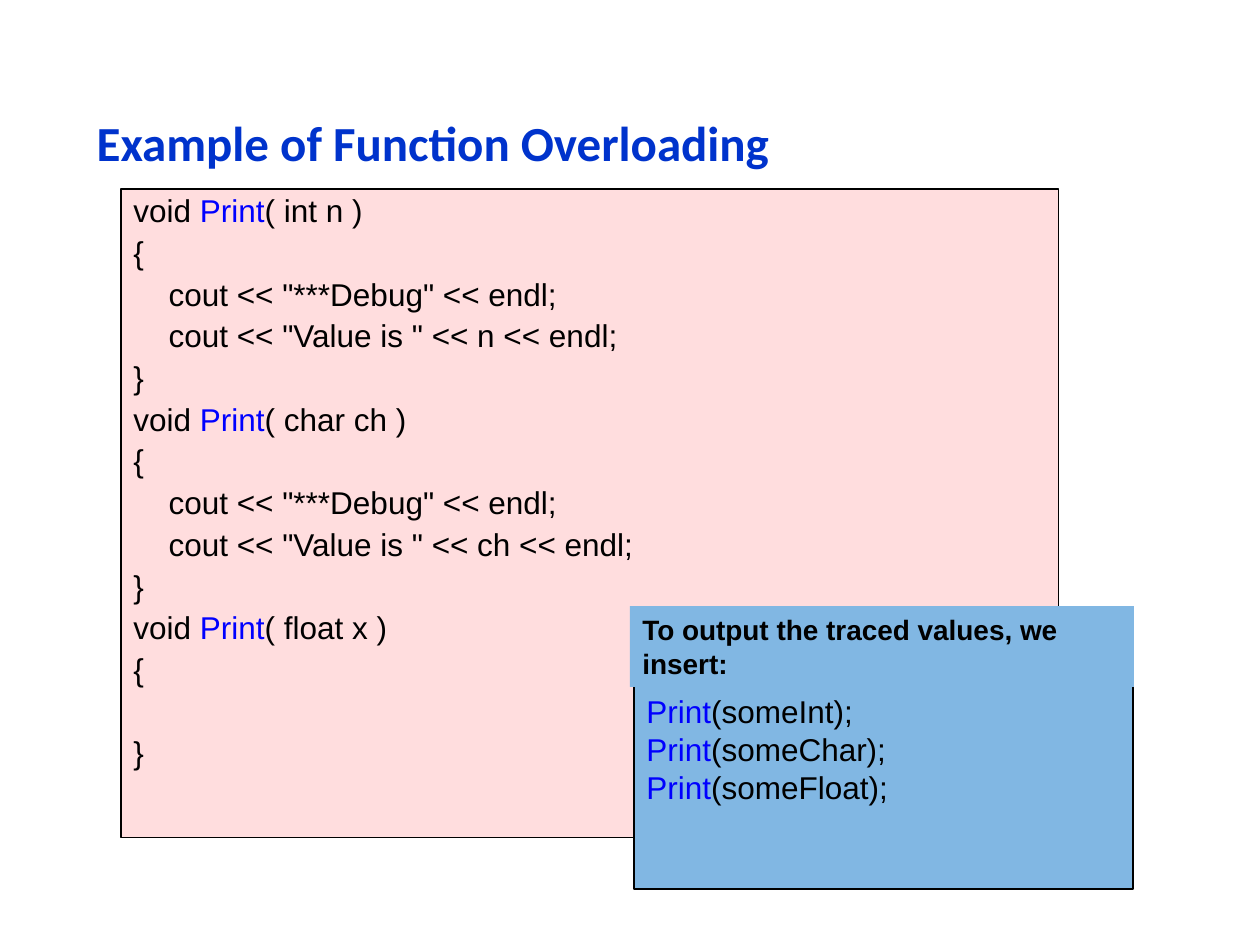
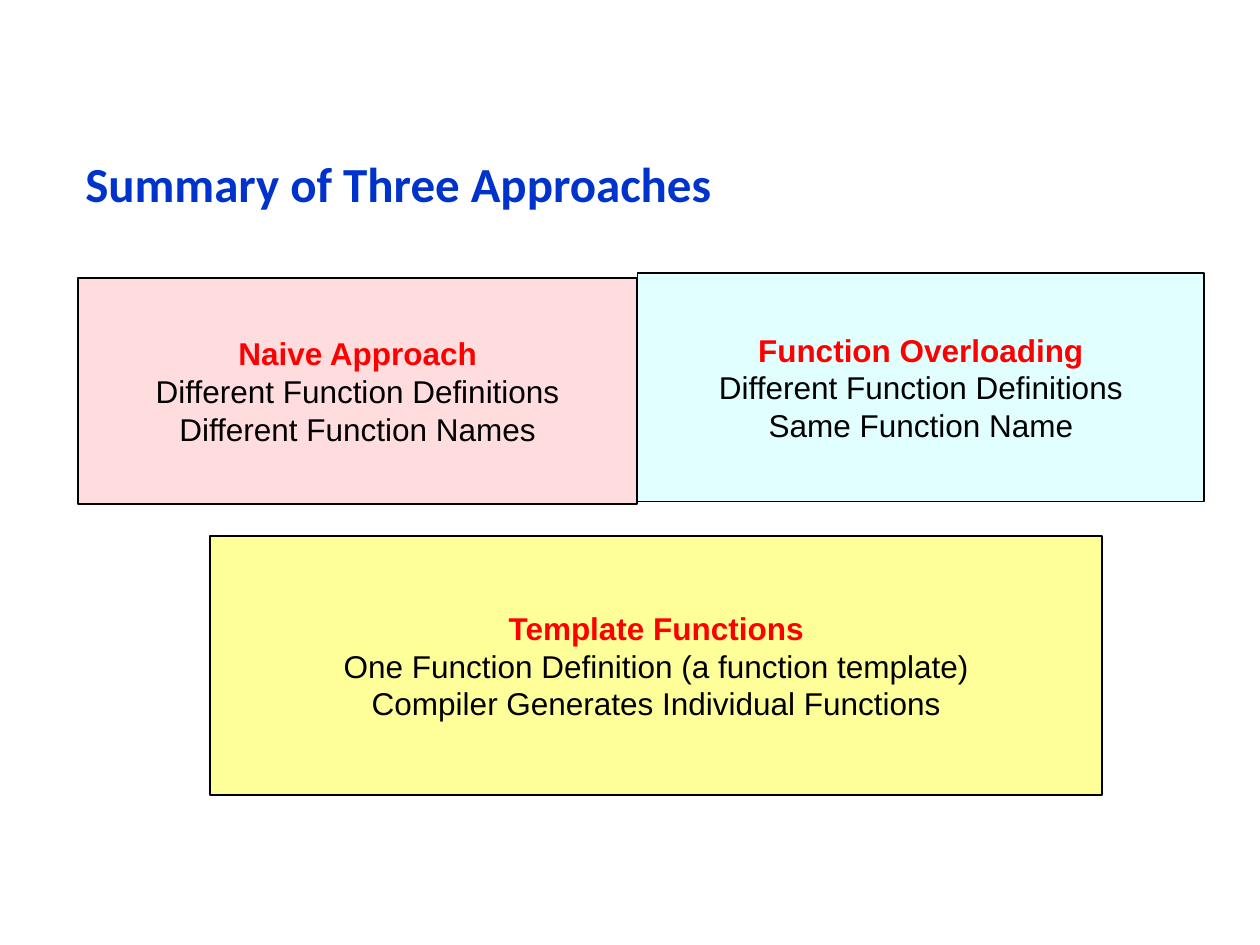
from pptx import Presentation
from pptx.dml.color import RGBColor
from pptx.enum.shapes import MSO_SHAPE as Shape
from pptx.enum.text import MSO_ANCHOR as Anchor, PP_ALIGN as Align
from pptx.util import Cm, Pt

# Shared colours and fonts
TITLE_BLUE = RGBColor(0x00, 0x33, 0xCC)
NAME_BLUE = RGBColor(0x00, 0x00, 0xFF)
RED = RGBColor(0xFF, 0x00, 0x00)
BLACK = RGBColor(0x00, 0x00, 0x00)
PINK = RGBColor(0xFF, 0xDD, 0xDE)
SKY = RGBColor(0x81, 0xB7, 0xE3)
CYAN = RGBColor(0xE1, 0xFF, 0xFF)
YELLOW = RGBColor(0xFF, 0xFF, 0x99)
TITLE_FONT, BODY_FONT = "Calibri", "Arial"

# Content: boxes are left, top, width, height in cm
OVERLOADING_TITLE = ("Example of Function Overloading", (1.7, 2.11, 21.79, 1.47))
SUMMARY_TITLE = ("Summary of Three Approaches", (1.47, 2.34, 22.68, 2.08))

FUNCTION = "Print"
DEFINITIONS = [  # parameter type, parameter name, whether the body is written out
    ("int", "n", True),
    ("char", "ch", True),
    ("float", "x", False),
]
CODE_BOX = (2.44, 3.81, 18.9, 13.08)
CODE_INDENT = 0.71
LINE_GAP, EMPTY_BODY_GAP = 4.4, 27.7

CALLS_HEADING = "To output the traced values, we insert:"
CALLS_HEADING_BOX = (12.7, 12.22, 10.16, 1.63)
CALL_ARGUMENTS = ["someInt", "someChar", "someFloat"]
CALLS_BOX = (12.78, 12.27, 10.06, 5.66)

APPROACHES = [
    ("Naive Approach", "Different Function Definitions",
     "Different Function Names", PINK, (1.57, 5.61, 11.28, 4.55)),
    ("Function Overloading", "Different Function Definitions",
     "Same Function Name", CYAN, (12.85, 5.51, 11.43, 4.6)),
    ("Template Functions", "One Function Definition (a function template)",
     "Compiler Generates Individual Functions", YELLOW, (4.24, 10.8, 17.98, 5.23)),
]


def add_run(paragraph, text, color=BLACK, size=18, bold=False, font=BODY_FONT):
    run = paragraph.add_run()
    run.text = text
    run.font.name, run.font.size, run.font.bold = font, Pt(size), bold
    run.font.color.rgb = color


def set_frame(frame, anchor):
    frame.word_wrap = True
    frame.vertical_anchor = anchor
    frame.margin_left = frame.margin_right = Cm(0.25)
    frame.margin_top = frame.margin_bottom = Cm(0.13)
    return frame


def add_paragraph(frame, align=Align.LEFT):
    """Use the empty first paragraph before adding further ones."""
    first = frame.paragraphs[0]
    paragraph = frame.add_paragraph() if first.runs else first
    paragraph.alignment = align
    return paragraph


def add_title(slide, text, box):
    title = slide.shapes.add_textbox(*map(Cm, box))
    frame = set_frame(title.text_frame, Anchor.BOTTOM)
    add_run(add_paragraph(frame), text, TITLE_BLUE, 28, True, TITLE_FONT)


def add_panel(slide, box, fill, anchor=Anchor.MIDDLE, line_width=1):
    panel = slide.shapes.add_shape(Shape.RECTANGLE, *map(Cm, box))
    panel.shadow.inherit = False
    panel.fill.solid()
    panel.fill.fore_color.rgb = fill
    if line_width:
        panel.line.color.rgb = BLACK
        panel.line.width = Pt(line_width)
    else:
        panel.line.fill.background()
    return set_frame(panel.text_frame, anchor)


def add_code_line(frame, *runs, indent=0, gap=LINE_GAP):
    is_first = not frame.paragraphs[0].runs
    paragraph = add_paragraph(frame, Align.JUSTIFY)
    paragraph.line_spacing = 0.9
    paragraph.space_before = Pt(0 if is_first else gap)
    properties = paragraph._p.get_or_add_pPr()
    properties.set("marL", str(Cm(indent)))
    properties.set("indent", "0")
    for text, color in runs:
        add_run(paragraph, text, color)


presentation = Presentation()
presentation.slide_width, presentation.slide_height = Cm(25.4), Cm(19.05)
blank = presentation.slide_layouts[6]

# Slide 1: overloaded definitions
slide = presentation.slides.add_slide(blank)
add_title(slide, *OVERLOADING_TITLE)
code = add_panel(slide, CODE_BOX, PINK, Anchor.TOP, 0.75)
for kind, name, has_body in DEFINITIONS:
    add_code_line(code, ("void ", BLACK), (FUNCTION, NAME_BLUE),
                  (f"( {kind} {name} )", BLACK))
    add_code_line(code, ("{", BLACK))
    if has_body:
        for output in ('"***Debug"', f'"Value is " << {name}'):
            add_code_line(code, (f"cout << {output} << endl;", BLACK),
                          indent=CODE_INDENT)
    add_code_line(code, ("}", BLACK), gap=LINE_GAP if has_body else EMPTY_BODY_GAP)

# Slide 1: calls, with the heading over the top edge
calls = add_panel(slide, CALLS_BOX, SKY)
for argument in CALL_ARGUMENTS:
    call = add_paragraph(calls)
    add_run(call, FUNCTION, NAME_BLUE)
    add_run(call, f"({argument});")
heading = add_panel(slide, CALLS_HEADING_BOX, SKY, Anchor.TOP, line_width=0)
add_run(add_paragraph(heading), CALLS_HEADING, size=16, bold=True)

# Slide 2: one panel for each approach
slide = presentation.slides.add_slide(blank)
add_title(slide, *SUMMARY_TITLE)
for approach, definitions, names, fill, box in APPROACHES:
    panel = add_panel(slide, box, fill)
    add_run(add_paragraph(panel, Align.CENTER), approach, RED, bold=True)
    for text in (definitions, names):
        add_run(add_paragraph(panel, Align.CENTER), text)

presentation.save("out.pptx")
